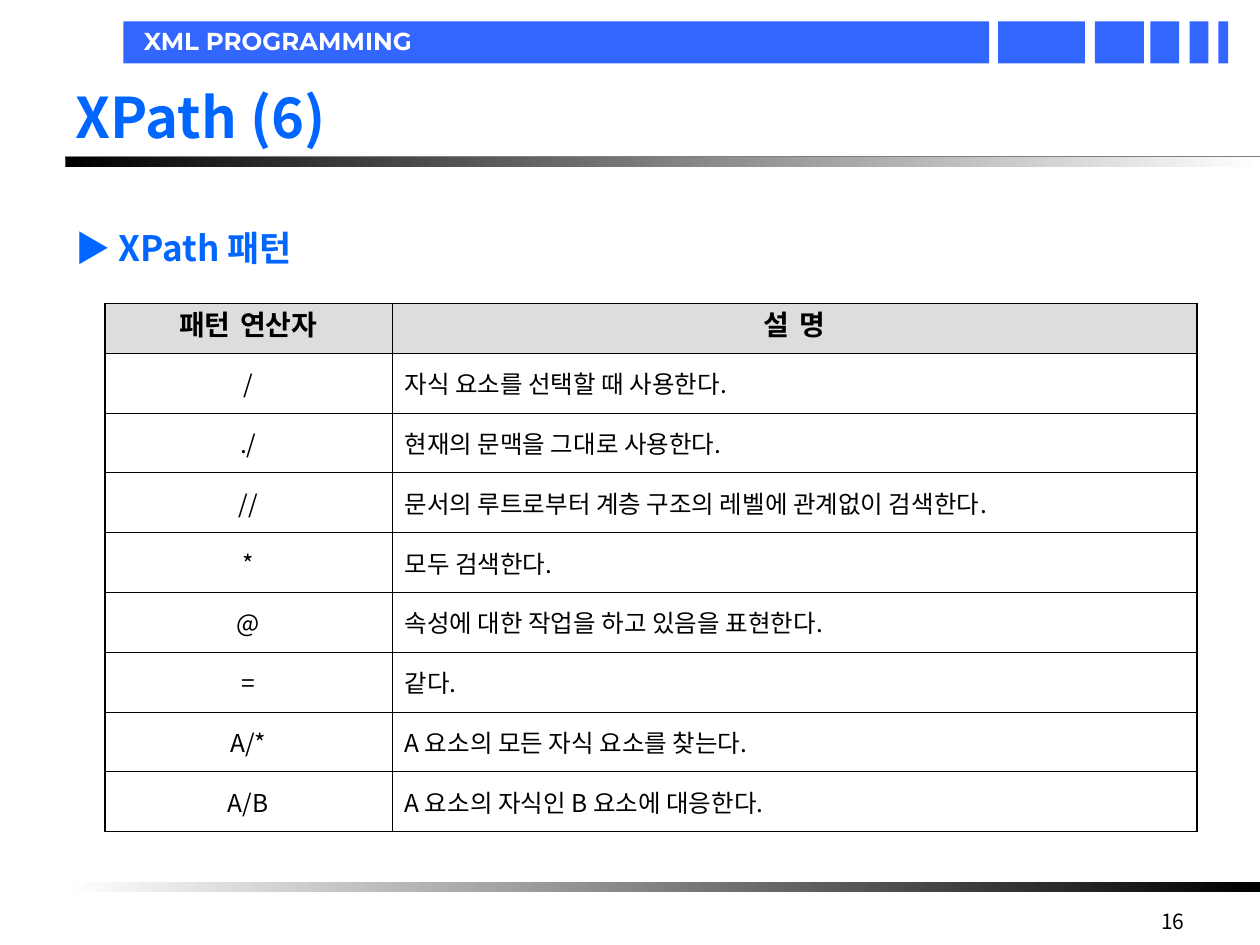
from typing import NamedTuple

from lxml.etree import SubElement
from pptx import Presentation
from pptx.dml.color import RGBColor
from pptx.enum.shapes import MSO_CONNECTOR, MSO_SHAPE
from pptx.enum.text import MSO_ANCHOR as Anchor, PP_ALIGN as Align
from pptx.oxml.ns import qn
from pptx.util import Cm, Pt

BODY_FONT = "Noto Sans CJK KR"
HEADER_FONT = "DejaVu Sans"
BANNER_FONT = "Montserrat"
BLACK, WHITE, GRAY = "000000", "FFFFFF", "808080"
BANNER_BLUE, HEADING_BLUE, HEADER_FILL = "3366FF", "0066FF", "DDDDDD"
THICK, THIN = 1.08, 0.45


class Span(NamedTuple):
    left: float
    width: float


class Pattern(NamedTuple):
    operator: str
    description: str


BANNER_BARS = [
    Span(2.49, 17.45),
    Span(20.12, 1.75),
    Span(22.07, 0.99),
    Span(23.19, 0.58),
    Span(23.98, 0.38),
    Span(24.56, 0.2),
]
RULE = Span(1.32, 24.08)
HEADER = Pattern("패턴 연산자", "설 명")
PATTERNS = [
    Pattern("/", "자식 요소를 선택할 때 사용한다."),
    Pattern("./", "현재의 문맥을 그대로 사용한다."),
    Pattern("//", "문서의 루트로부터 계층 구조의 레벨에 관계없이 검색한다."),
    Pattern("*", "모두 검색한다."),
    Pattern("@", "속성에 대한 작업을 하고 있음을 표현한다."),
    Pattern("=", "같다."),
    Pattern("A/*", "A 요소의 모든 자식 요소를 찾는다."),
    Pattern("A/B", "A 요소의 자식인 B 요소에 대응한다."),
]


def color(value: str) -> RGBColor:
    return RGBColor.from_string(value)


def format_paragraph(paragraph, size: float, font_color: str, name: str = BODY_FONT,
                     bold: bool = False, align=Align.LEFT) -> None:
    paragraph.alignment = align
    font = paragraph.font
    font.size, font.bold, font.name = Pt(size), bold, name
    font.color.rgb = color(font_color)
    # Korean glyphs take their font from the East Asian slot
    properties = paragraph._p.pPr.find(qn("a:defRPr"))
    SubElement(properties, qn("a:ea")).set("typeface", name)


def add_bar(slide, span: Span, top: float, height: float):
    bar = slide.shapes.add_shape(
        MSO_SHAPE.RECTANGLE, Cm(span.left), Cm(top), Cm(span.width), Cm(height))
    bar.shadow.inherit = False
    bar.line.fill.background()
    return bar


def add_gradient_rule(slide, top: float, start: str, end: str) -> None:
    fill = add_bar(slide, RULE, top, 0.2).fill
    fill.gradient()
    fill.gradient_angle = 0
    for stop, position, value in zip(fill.gradient_stops, (0, 1), (start, end)):
        stop.position = position
        stop.color.rgb = color(value)


def add_title_line(slide, top: float) -> None:
    line = slide.shapes.add_connector(
        MSO_CONNECTOR.STRAIGHT, Cm(RULE.left), Cm(top), Cm(RULE.left + RULE.width), Cm(top))
    line.line.color.rgb = color(GRAY)
    line.line.width = Pt(1.5)
    SubElement(line._element.spPr, qn("a:effectLst"))


def add_text_box(slide, left: float, top: float, width: float, height: float):
    box = slide.shapes.add_textbox(Cm(left), Cm(top), Cm(width), Cm(height))
    box.text_frame.word_wrap = True
    return box.text_frame


def add_banner(slide) -> None:
    for span in BANNER_BARS:
        fill = add_bar(slide, span, 0.43, 0.85).fill
        fill.solid()
        fill.fore_color.rgb = color(BANNER_BLUE)
    frame = add_text_box(slide, 2.9, 0.53, 12.8, 0.58)
    frame.margin_left = frame.margin_right = frame.margin_top = frame.margin_bottom = 0
    frame.vertical_anchor = Anchor.MIDDLE
    frame.text = "XML PROGRAMMING"
    format_paragraph(frame.paragraphs[0], 14, WHITE, BANNER_FONT, bold=True)


def set_title(slide) -> None:
    title = slide.shapes.title
    title.left, title.top, title.width, title.height = Cm(1.27), Cm(0.76), Cm(22.86), Cm(3.18)
    frame = title.text_frame
    frame.text = "XPath (6)"
    frame.vertical_anchor = Anchor.MIDDLE
    format_paragraph(frame.paragraphs[0], 32, HEADING_BLUE, bold=True)


def add_heading(slide) -> None:
    paragraph = add_text_box(slide, 1.27, 4.45, 23.04, 12.57).paragraphs[0]
    properties = paragraph._p.get_or_add_pPr()
    properties.set("marL", str(Cm(0.95)))
    properties.set("indent", str(-Cm(0.95)))
    format_paragraph(paragraph, 20, HEADING_BLUE)
    paragraph.add_run().text = "▶"
    label = paragraph.add_run()
    label.text = " XPath 패턴"
    label.font.bold = True


def set_borders(cell, left: float, right: float, top: float, bottom: float) -> None:
    properties = cell._tc.get_or_add_tcPr()
    for tag, width in zip(("lnL", "lnR", "lnT", "lnB"), (left, right, top, bottom)):
        border = SubElement(properties, qn(f"a:{tag}"))
        border.set("w", str(Pt(width)))
        fill = SubElement(border, qn("a:solidFill"))
        SubElement(fill, qn("a:srgbClr")).set("val", BLACK)


def add_pattern_table(slide) -> None:
    rows = [HEADER, *PATTERNS]
    last = len(rows) - 1
    table = slide.shapes.add_table(
        len(rows), 2, Cm(2.11), Cm(6.12), Cm(22.02), Cm(10.64)).table
    table.first_row = table.horz_banding = False
    table.columns[0].width, table.columns[1].width = Cm(5.79), Cm(16.23)
    for row_index, row in enumerate(rows):
        is_header = row_index == 0
        table.rows[row_index].height = Cm(1) if is_header else Cm(1.205)
        for column, text in enumerate(row):
            cell = table.cell(row_index, column)
            cell.text = text
            set_borders(cell,
                        left=THIN if column else THICK,
                        right=THICK if column else THIN,
                        top=THICK if is_header else THIN,
                        bottom=THICK if row_index == last else THIN)
            paragraph = cell.text_frame.paragraphs[0]
            if is_header:
                cell.fill.solid()
                cell.fill.fore_color.rgb = color(HEADER_FILL)
                format_paragraph(paragraph, 16, BLACK, HEADER_FONT, True, Align.CENTER)
            else:
                cell.fill.background()
                cell.vertical_anchor = Anchor.MIDDLE
                align = Align.LEFT if column else Align.CENTER
                format_paragraph(paragraph, 14, BLACK, align=align)


def add_page_number(slide) -> None:
    frame = add_text_box(slide, 18.21, 18.19, 5.92, 0.74)
    frame.text = "16"
    format_paragraph(frame.paragraphs[0], 12, BLACK, align=Align.RIGHT)


def main() -> None:
    presentation = Presentation()
    presentation.slide_width, presentation.slide_height = Cm(25.4), Cm(19.05)
    slide = presentation.slides.add_slide(presentation.slide_layouts.get_by_name("Title Only"))
    add_banner(slide)
    add_title_line(slide, 3.17)
    add_gradient_rule(slide, 3.17, BLACK, WHITE)
    add_gradient_rule(slide, 17.78, WHITE, BLACK)
    add_page_number(slide)
    set_title(slide)
    add_heading(slide)
    add_pattern_table(slide)
    presentation.save("out.pptx")


if __name__ == "__main__":
    main()
